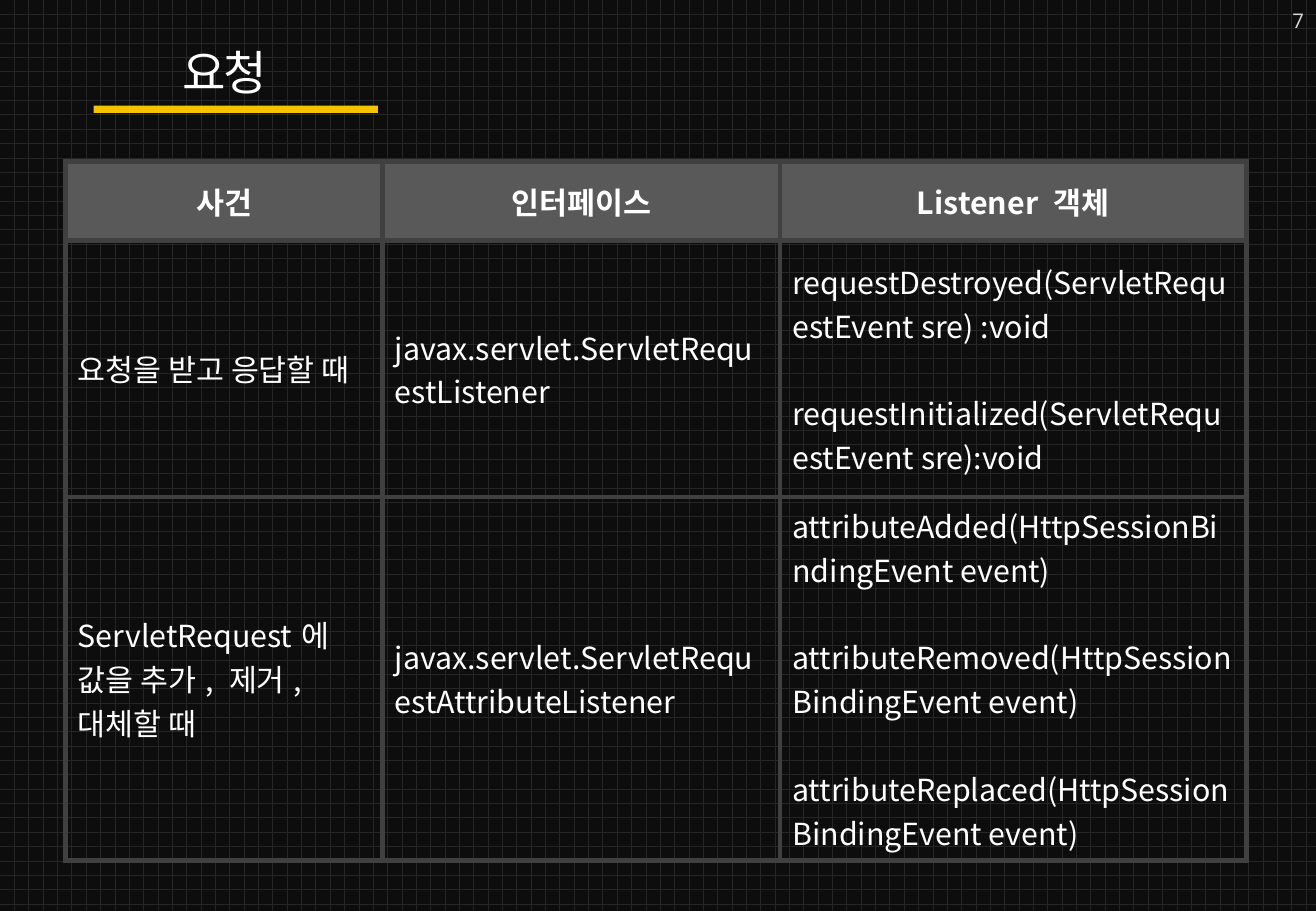
from lxml import etree
from pptx import Presentation
from pptx.dml.color import RGBColor
from pptx.enum.dml import MSO_PATTERN
from pptx.enum.shapes import MSO_SHAPE
from pptx.enum.text import MSO_ANCHOR, MSO_AUTO_SIZE, PP_ALIGN
from pptx.oxml import parse_xml
from pptx.oxml.ns import nsdecls, qn
from pptx.util import Cm, Pt

WHITE = RGBColor(0xFF, 0xFF, 0xFF)
PAGE_GREY = RGBColor(0xD9, 0xD9, 0xD9)
HEADER_GREY = RGBColor(0x59, 0x59, 0x59)
BORDER_GREY = RGBColor(0x40, 0x40, 0x40)
BRICK_LINE = RGBColor(0x26, 0x26, 0x26)
BRICK_FACE = RGBColor(0x0D, 0x0D, 0x0D)
YELLOW = RGBColor(0xF5, 0xC2, 0x01)

KOREAN_FONT = "Noto Sans CJK KR"
PAGE_FONT = "Open Sans"

COLUMN_WIDTHS = (6.63, 8.31, 9.75)
ROW_HEIGHTS = (1.65, 5.36, 7.39)
HEADERS = ("사건", "인터페이스", "Listener 객체")
EVENTS = (
    (
        ["요청을 받고 응답할 때"],
        ["javax.servlet.ServletRequestListener"],
        [
            "requestDestroyed(ServletRequestEvent sre) :void",
            "requestInitialized(ServletRequestEvent sre):void",
        ],
    ),
    (
        ["ServletRequest에 값을 추가, 제거, 대체할 때"],
        ["javax.servlet.ServletRequestAttributeListener"],
        [
            "attributeAdded(HttpSessionBindingEvent event)",
            "attributeRemoved(HttpSessionBindingEvent event)",
            "attributeReplaced(HttpSessionBindingEvent event)",
        ],
    ),
)


class ListenerSlide:
    def __init__(self, slide):
        self.slide = slide
        self.shapes = slide.shapes

    def background(self):
        fill = self.slide.background.fill
        fill.patterned()
        fill.pattern = MSO_PATTERN.HORIZONTAL_BRICK
        fill.fore_color.rgb = BRICK_LINE
        fill.back_color.rgb = BRICK_FACE

    def run(self, paragraph, text, size, color=WHITE, font=KOREAN_FONT, bold=False):
        run = paragraph.add_run()
        run.text = text
        run.font.size = Pt(size)
        run.font.bold = bold
        run.font.color.rgb = color
        run.font.name = font
        properties = run.font._element
        etree.SubElement(properties, qn("a:ea")).set("typeface", font)
        return properties

    def title(self, text):
        box = self.shapes.add_textbox(Cm(3.56), Cm(0.79), Cm(2.31), Cm(1.45))
        box.text_frame.word_wrap = False
        box.text_frame.auto_size = MSO_AUTO_SIZE.SHAPE_TO_FIT_TEXT
        properties = self.run(box.text_frame.paragraphs[0], text, 28)
        properties.set("spc", "-150")

    def underline(self):
        bar = self.shapes.add_shape(
            MSO_SHAPE.RECTANGLE, Cm(1.96), Cm(2.21), Cm(5.94), Cm(0.15)
        )
        bar.shadow.inherit = False
        bar.fill.solid()
        bar.fill.fore_color.rgb = YELLOW
        bar.line.fill.background()

    def page_number(self, text):
        box = self.shapes.add_textbox(Cm(20.45), Cm(-0.08), Cm(7.06), Cm(1.02))
        frame = box.text_frame
        frame.word_wrap = True
        frame.vertical_anchor = MSO_ANCHOR.MIDDLE
        frame.paragraphs[0].alignment = PP_ALIGN.RIGHT
        self.run(frame.paragraphs[0], text, 12, PAGE_GREY, PAGE_FONT)

    def cell_borders(self, cell):
        properties = cell._tc.get_or_add_tcPr()
        for position, side in enumerate(("lnL", "lnR", "lnT", "lnB")):
            border = parse_xml(
                f'<a:{side} {nsdecls("a")} w="{Pt(3)}"><a:solidFill>'
                f'<a:srgbClr val="{BORDER_GREY}"/></a:solidFill></a:{side}>'
            )
            properties.insert(position, border)

    def cell(self, cell, lines, header=False):
        cell.vertical_anchor = MSO_ANCHOR.MIDDLE
        if header:
            cell.fill.solid()
            cell.fill.fore_color.rgb = HEADER_GREY
        else:
            cell.fill.background()
        self.cell_borders(cell)
        frame = cell.text_frame
        for index, line in enumerate(lines):
            paragraph = frame.add_paragraph() if index else frame.paragraphs[0]
            paragraph.alignment = PP_ALIGN.CENTER if header else PP_ALIGN.LEFT
            if index:
                paragraph.space_before = Pt(26)
            self.run(paragraph, line, 18, bold=header)

    def event_table(self):
        table = self.shapes.add_table(
            len(ROW_HEIGHTS), len(COLUMN_WIDTHS), Cm(1.37), Cm(3.38),
            Cm(sum(COLUMN_WIDTHS)), Cm(sum(ROW_HEIGHTS)),
        ).table
        table.first_row = False
        table.horz_banding = False
        for column, width in zip(table.columns, COLUMN_WIDTHS):
            column.width = Cm(width)
        for row, height in zip(table.rows, ROW_HEIGHTS):
            row.height = Cm(height)
        header_row = [[header] for header in HEADERS]
        for row_index, contents in enumerate((header_row, *EVENTS)):
            for column_index, lines in enumerate(contents):
                cell = table.cell(row_index, column_index)
                self.cell(cell, lines, header=row_index == 0)


def main():
    presentation = Presentation()
    presentation.slide_width = Cm(27.51)
    presentation.slide_height = Cm(19.05)
    blank_layout = presentation.slide_layouts[6]
    request = ListenerSlide(presentation.slides.add_slide(blank_layout))
    request.background()
    request.event_table()
    request.page_number("7")
    request.underline()
    request.title("요청")
    presentation.save("out.pptx")


if __name__ == "__main__":
    main()
